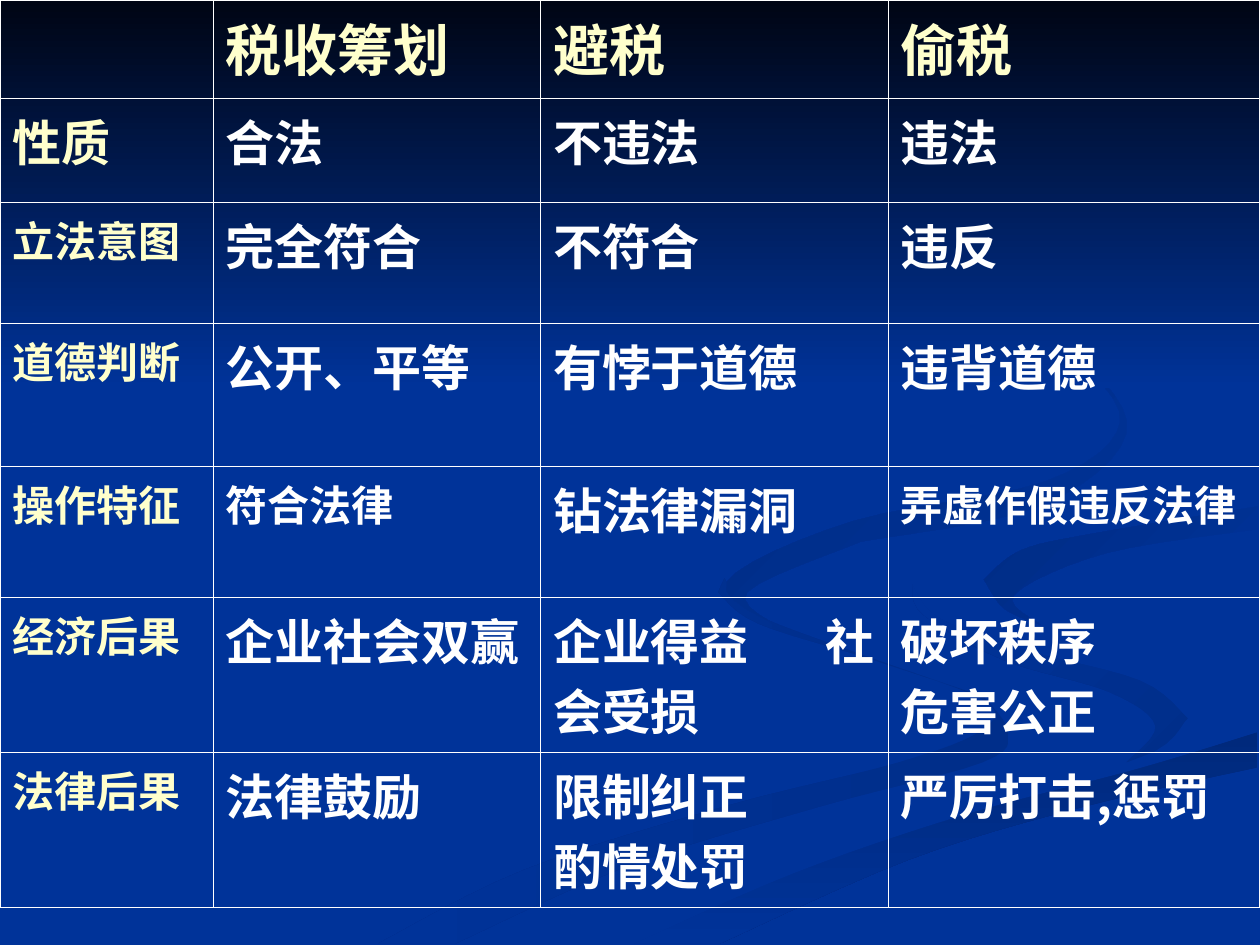
from dataclasses import dataclass
from typing import Any

from lxml.etree import SubElement as Sub
from pptx import Presentation
from pptx.dml.color import RGBColor as Rgb
from pptx.oxml.ns import qn
from pptx.util import Inches, Pt

COLORS = {
    "ground": "003399",
    "night": "000514",
    "curl": "002E8A",
    "ramp": "00297C",
    "inlet": "002C85",
    "hook": "002B81",
    "label": "FFFFCC",
    "body": "FFFFFF",
    "border": "FFFFFF",
}
CJK_FONT = "Noto Sans CJK SC"
TEXT_STYLES = {
    "head": {"size": 32, "before": 8, "font": "Times New Roman", "color": "label"},
    "label": {"size": 28, "before": 7, "font": CJK_FONT, "color": "label"},
    "body": {"size": 28, "before": 7, "font": CJK_FONT, "color": "body"},
}
SMALL = {"size": 24, "before": 6}
LOWERED = {"size": 24, "before": 10.5}
OVERRIDES = {
    "立法意图": LOWERED,
    "道德判断": LOWERED,
    "操作特征": SMALL,
    "经济后果": LOWERED,
    "法律后果": LOWERED,
    "符合法律": LOWERED,
    "弄虚作假违反法律": SMALL,
}
COLUMN_WIDTHS = [1.69, 2.6, 2.76, 2.95]
ROW_HEIGHTS = [0.78, 0.83, 0.96, 1.13, 1.04, 1.23, 1.23]
INNER_BORDER, OUTER_BORDER = 0.45, 1.08
TAB_STOP = 2.16
COMPARISON = [
    ["", "税收筹划", "避税", "偷税"],
    ["性质", "合法", "不违法", "违法"],
    ["立法意图", "完全符合", "不符合", "违反"],
    ["道德判断", "公开、平等", "有悖于道德", "违背道德"],
    ["操作特征", "符合法律", "钻法律漏洞", "弄虚作假违反法律"],
    ["经济后果", "企业社会双赢", "企业得益\t社会受损", "破坏秩序\n危害公正"],
    ["法律后果", "法律鼓励", "限制纠正\n酌情处罚", "严厉打击,惩罚"],
]

CURVE_STEPS = 6
EDGES = {
    "river bend": [(7.24, 4.64), (7.45, 4.9), (8.11, 5.15), (9.05, 5.4), (9.43, 5.7)],
    "river outflow": [(9.43, 5.7), (9.02, 6.03), (7.43, 6.43), (6.19, 6.84), (4.77, 7.49)],
    "river bank": [(5.03, 7.49), (6.3, 6.93), (7.64, 6.47), (9.03, 6.1), (9.98, 5.81)],
    "river inside": [(9.98, 5.38), (8.66, 5.09), (8.04, 4.85), (7.81, 4.6)],
    "river mouth": [(7.81, 4.6), (8.1, 4.37), (8.65, 4.24), (9.98, 4.02)],
    "river crest": [(9.98, 3.87), (8.74, 4.08), (7.7, 4.27), (7.24, 4.64)],
    "bend tip": [(9.43, 5.7), (9.32, 5.89), (8.94, 6.05)],
    "bend underside": [(8.94, 6.05), (9.17, 5.76), (8.8, 5.49), (7.97, 5.24),
                       (7.33, 4.88), (7.24, 4.64)],
    "ramp underside": [(9.98, 6.09), (8.61, 6.4), (7.22, 6.82), (5.71, 7.49)],
    "inlet shore": [(9.98, 4.2), (8.78, 4.39), (8.05, 4.72), (8.26, 4.96)],
    "inlet end": [(8.26, 4.96), (7.97, 4.83), (7.81, 4.6)],
    "left top": [(7.81, 5.53), (6.82, 5.19), (5.94, 4.85), (5.75, 4.59)],
    "left inside": [(5.7, 4.7), (6.02, 4.95), (6.97, 5.25), (7.81, 5.56), (7.8, 5.79),
                    (7.14, 6.05), (5.79, 6.39), (4.17, 6.9), (3, 7.49)],
    "left outside": [(3.61, 7.49), (4.99, 6.87), (6.51, 6.4), (7.8, 6.05), (8, 5.81),
                     (7.81, 5.53)],
    "hook outside": [(6.83, 4.3), (8.25, 4.02), (8.94, 3.44), (8.54, 2.83), (7.62, 2.33)],
    "hook inside": [(7.62, 2.33), (8.46, 2.79), (8.89, 3.35), (8.3, 3.82), (6.76, 4.14),
                    (5.77, 4.62), (6.22, 5)],
    "hook tail": [(6.22, 5), (5.93, 4.7), (6.83, 4.3)],
    "sky top": [(0, 0), (10, 0)],
    "sky bottom": [(10, 3.08), (0, 3.08)],
}
BACKDROP = [
    (["left top", "left inside", "left outside"], "curl", "ground", 180),
    (["river bend", "bend tip", "bend underside"], "curl", "ground", 135),
    (["river bank", "ramp underside"], "ramp", "ground", 270),
    (["river bend", "river outflow", "river bank", "river inside", "river mouth",
      "river crest"], "ground", "ground", 0),
    (["river mouth", "inlet shore", "inlet end"], "ground", "inlet", 135),
    (["hook outside", "hook inside", "hook tail"], "ground", "hook", 135),
    (["sky top", "sky bottom"], "night", "ground", 270),
]


def spline(before, start, end, after, t):
    return 0.5 * (2 * start + (end - before) * t
                  + (2 * before - 5 * start + 4 * end - after) * t ** 2
                  + (3 * start - before - 3 * end + after) * t ** 3)


def smooth(knots):
    padded = [knots[0], *knots, knots[-1]]
    points = []
    for four in zip(padded, padded[1:], padded[2:], padded[3:]):
        for step in range(CURVE_STEPS):
            points.append(tuple(spline(*axis, step / CURVE_STEPS) for axis in zip(*four)))
    return points + [knots[-1]]


@dataclass
class Painter:
    slide: Any

    def color(self, name):
        return Rgb.from_string(COLORS[name])

    def background(self, name):
        fill = self.slide.background.fill
        fill.solid()
        fill.fore_color.rgb = self.color(name)

    def ribbon(self, edges, first, last, angle):
        corners = [(Inches(x), Inches(y)) for edge in edges for x, y in smooth(EDGES[edge])]
        builder = self.slide.shapes.build_freeform(*corners[0], scale=1.0)
        builder.add_line_segments(corners[1:], close=True)
        shape = builder.convert_to_shape()
        shape.shadow.inherit = False
        shape.line.fill.background()
        shape.fill.gradient()
        shape.fill.gradient_angle = angle
        for stop, name in zip(shape.fill.gradient_stops, (first, last)):
            stop.color.rgb = self.color(name)

    def borders(self, cell, widths):
        properties = cell._tc.get_or_add_tcPr()
        for side, width in widths.items():
            line = Sub(properties, qn(f"a:ln{side}"), w=str(Pt(width)))
            Sub(Sub(line, qn("a:solidFill")), qn("a:srgbClr"), val=COLORS["border"])
        cell.fill.background()

    def span(self, para, text, style):
        span = para.add_run()
        span.text = text
        formats = {"size": Pt(style["size"]), "name": style["font"], "bold": True}
        for key, value in formats.items():
            setattr(span.font, key, value)
        span.font.color.rgb = self.color(style["color"])
        Sub(span._r.get_or_add_rPr(), qn("a:ea"), typeface=CJK_FONT)

    def words(self, cell, text, style):
        para = cell.text_frame.paragraphs[0]
        para.space_before = Pt(style["before"])
        if "\t" in text:
            stops = Sub(para._p.get_or_add_pPr(), qn("a:tabLst"))
            Sub(stops, qn("a:tab"), pos=str(Inches(TAB_STOP)), algn="l")
        for number, line in enumerate(text.split("\n")):
            if number:
                para.add_line_break()
            self.span(para, line, style)

    def table(self, rows):
        frame = self.slide.shapes.add_table(
            len(ROW_HEIGHTS), len(COLUMN_WIDTHS), 0, 0,
            Inches(sum(COLUMN_WIDTHS)), Inches(sum(ROW_HEIGHTS)))
        table = frame.table
        table.first_row = table.horz_banding = False
        for column, width in zip(table.columns, COLUMN_WIDTHS):
            column.width = Inches(width)
        for row, height in zip(table.rows, ROW_HEIGHTS):
            row.height = Inches(height)
        last_column = len(COLUMN_WIDTHS) - 1
        for i, texts in enumerate(rows):
            for j, text in enumerate(texts):
                cell = table.cell(i, j)
                outer = {"L": j == 0, "R": j == last_column, "T": i == 0, "B": False}
                self.borders(cell, {side: OUTER_BORDER if edge else INNER_BORDER
                                    for side, edge in outer.items()})
                role = "head" if i == 0 else "label" if j == 0 else "body"
                if text:
                    self.words(cell, text, TEXT_STYLES[role] | OVERRIDES.get(text, {}))


def main():
    deck = Presentation()
    deck.slide_width, deck.slide_height = Inches(10), Inches(7.5)
    page = Painter(deck.slides.add_slide(deck.slide_layouts[6]))
    page.background("ground")
    for piece in BACKDROP:
        page.ribbon(*piece)
    page.table(COMPARISON)
    deck.save("out.pptx")


if __name__ == "__main__":
    main()
